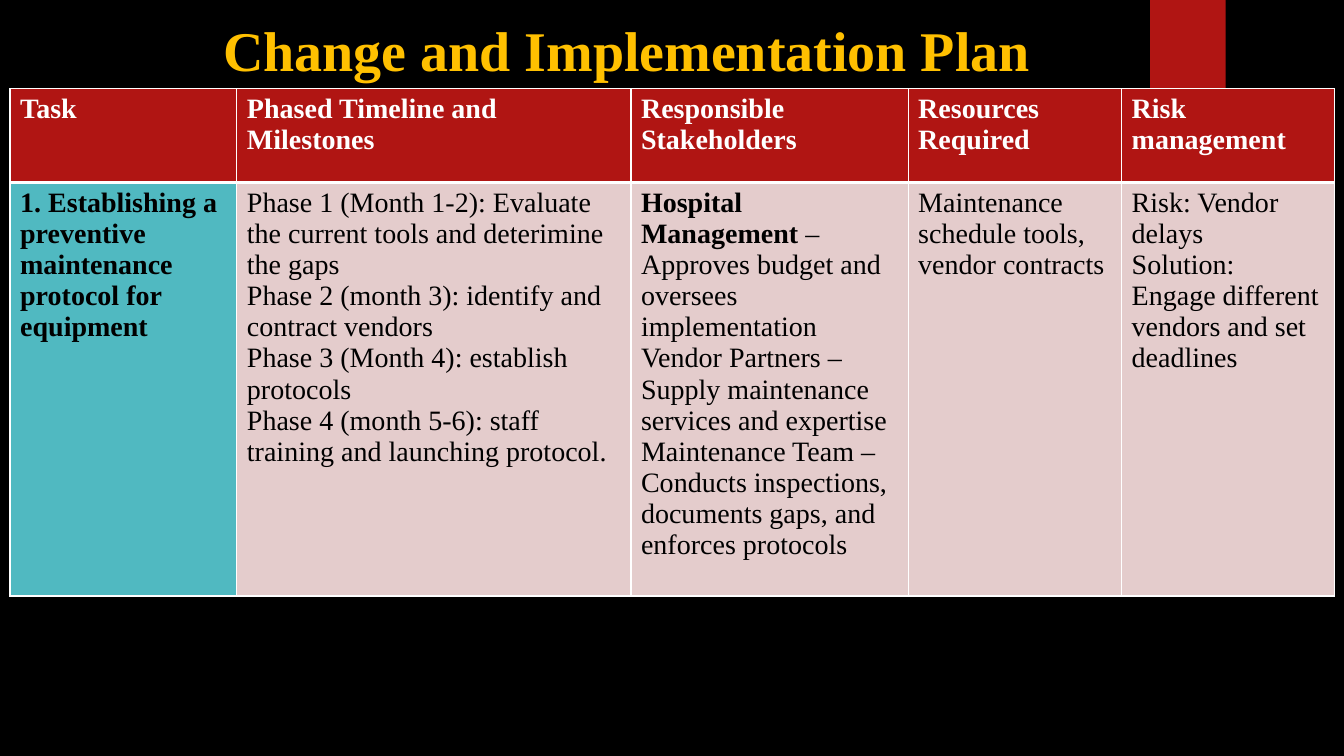
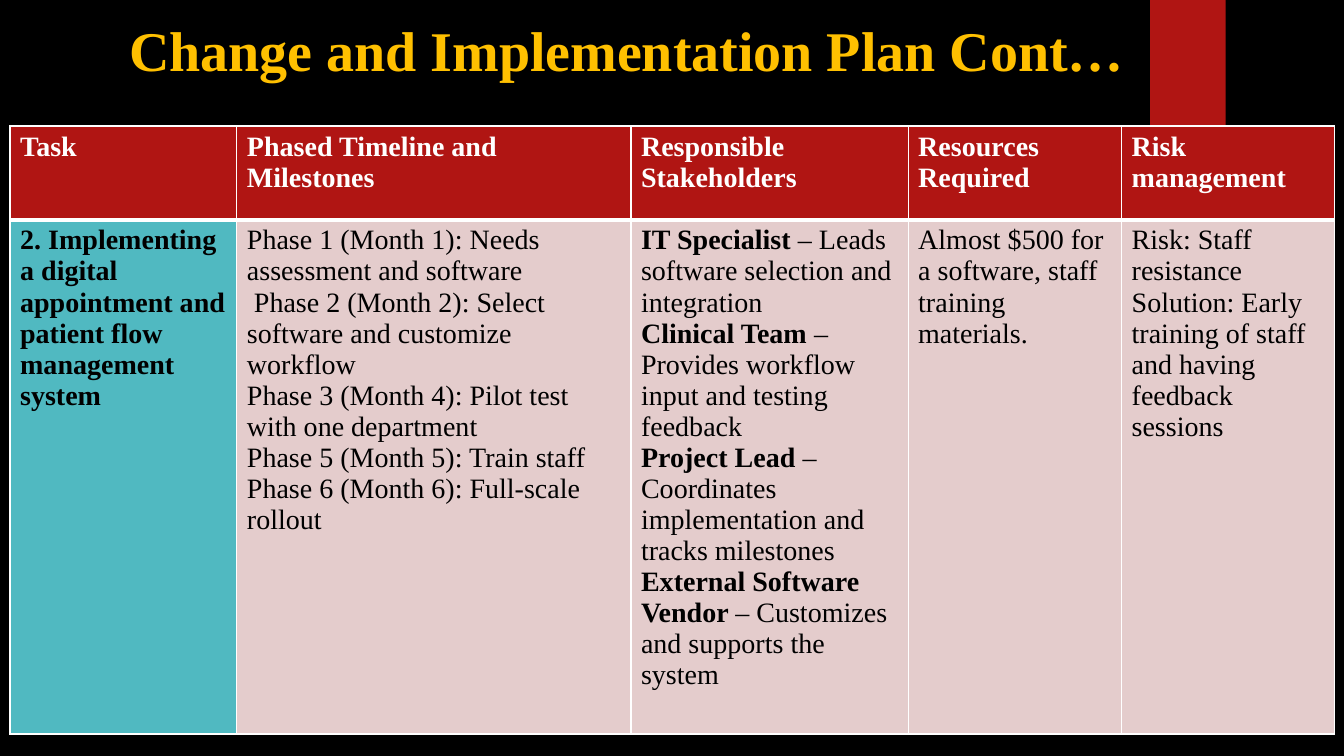
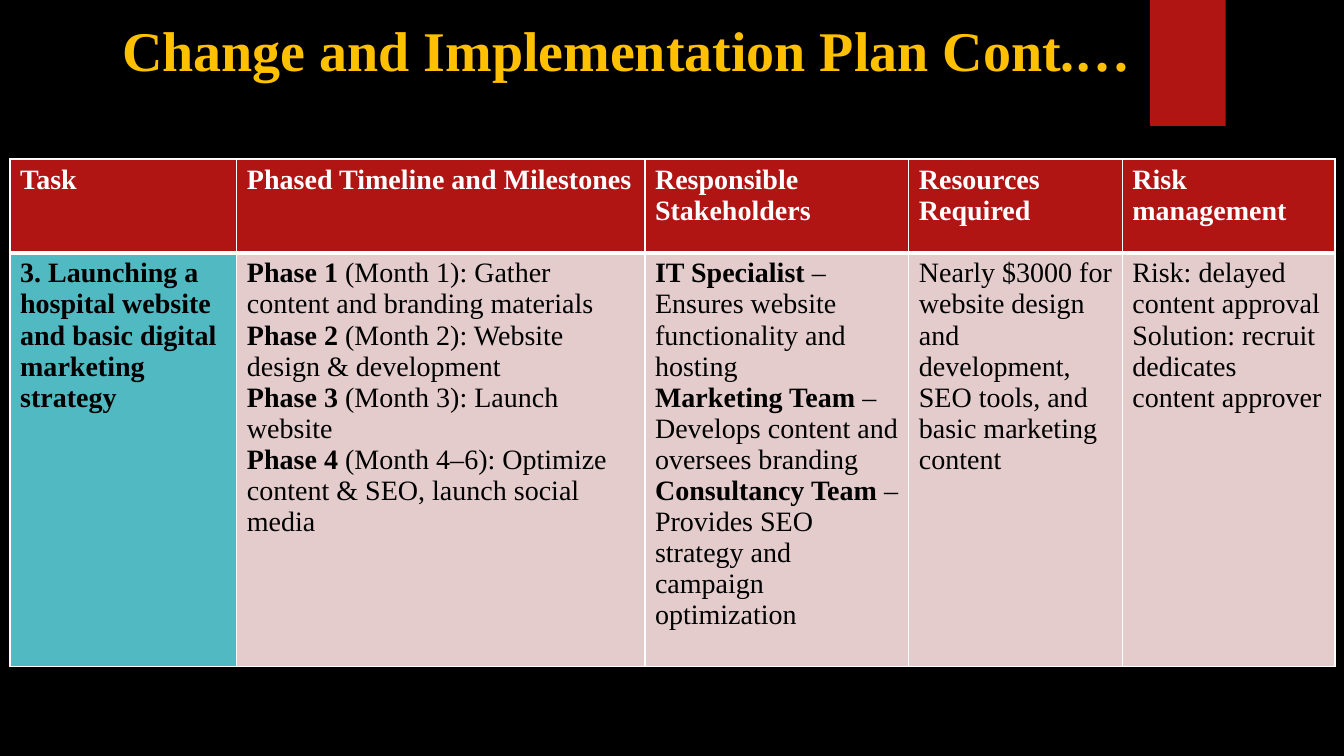
import pptx
import pptx.util
import pptx.dml.color
import pptx.enum.shapes
import pptx.enum.text
import pptx.oxml
import pptx.oxml.ns

Pt = pptx.util.Pt
RGB = pptx.dml.color.RGBColor

BLACK = RGB(0x00, 0x00, 0x00)
WHITE = RGB(0xFF, 0xFF, 0xFF)
GOLD = RGB(0xFF, 0xC0, 0x00)
RED = RGB(0xB0, 0x15, 0x13)
TEAL = RGB(0x50, 0xB9, 0xC1)
PINK = RGB(0xE4, 0xCC, 0xCC)
FONT = "Times New Roman"

# Boxes are left, top, width, height
BAND = (821.5, 0, 54, 90)
TITLE = (77, 3, 741, 86)
LEFT = 7.2
HEAD_H = 67
LINE_H = 22.25
PAD_H = 7.2

HEADS = ["Task", "Phased Timeline and Milestones", "Responsible Stakeholders",
         "Resources Required", "Risk management"]
EVEN = [162, 281.5, 198, 152.5, 152]
WIDE = [162, 291.5, 188.5, 152.5, 152]

# In each paragraph, the part before "|" is bold
PLANS = [
    {"title": "Change and Implementation Plan",
     "top": 63.4, "cols": EVEN, "lines": 12,
     "body": [
         ["1. Establishing a preventive maintenance protocol for equipment|"],
         ["Phase 1 (Month 1-2): Evaluate the current tools and deterimine the gaps",
          "Phase 2 (month 3): identify and contract vendors",
          "Phase 3 (Month 4): establish protocols",
          "Phase 4 (month 5-6): staff training and launching protocol."],
         ["Hospital Management |– Approves budget and oversees implementation",
          "Vendor Partners – Supply maintenance services and expertise",
          "Maintenance Team – Conducts inspections, documents gaps, "
          "and enforces protocols"],
         ["Maintenance schedule tools, vendor contracts"],
         ["Risk: Vendor delays",
          "Solution: Engage different vendors and set deadlines"]]},
    {"title": "Change and Implementation Plan Cont…",
     "top": 90, "cols": EVEN, "lines": 15,
     "body": [
         ["2. Implementing a digital appointment and patient flow management system|"],
         ["Phase 1 (Month 1): Needs assessment and software",
          " Phase 2 (Month 2): Select software and customize workflow",
          "Phase 3 (Month 4): Pilot test with one department",
          "Phase 5 (Month 5): Train staff",
          "Phase 6 (Month 6): Full-scale rollout"],
         ["IT Specialist |– Leads software selection and integration",
          "Clinical Team |– Provides workflow input and testing feedback",
          "Project Lead |– Coordinates implementation and tracks milestones",
          "External Software Vendor |– Customizes and supports the system"],
         ["Almost $500 for a software, staff training materials."],
         ["Risk: Staff resistance",
          "Solution: Early training of staff and having feedback sessions"]]},
    {"title": "Change and Implementation Plan Cont.…",
     "top": 113.6, "cols": WIDE, "lines": 12,
     "body": [
         ["3. Launching a hospital website and basic digital marketing strategy|"],
         ["Phase 1| (Month 1): Gather content and branding materials",
          "Phase 2| (Month 2): Website design & development",
          "Phase 3| (Month 3): Launch website",
          "Phase 4| (Month 4–6): Optimize content & SEO, launch social media"],
         ["IT Specialist |– Ensures website functionality and hosting",
          "Marketing Team |– Develops content and oversees branding",
          "Consultancy Team |– Provides SEO strategy and campaign optimization"],
         ["Nearly $3000 for website design and development, SEO tools, "
          "and basic marketing content"],
         ["Risk: delayed content approval",
          "Solution: recruit dedicates content approver"]]},
]


def add_run(para, text, size, color, bold):
    run = para.add_run()
    run.text = text
    font = run.font
    font.name, font.size, font.bold = FONT, Pt(size), bold
    font.color.rgb = color


def add_band(slide, box):
    band = slide.shapes.add_shape(
        pptx.enum.shapes.MSO_SHAPE.RECTANGLE, *map(Pt, box))
    band.shadow.inherit = False
    band.fill.solid()
    band.fill.fore_color.rgb = RED
    band.line.fill.background()


def add_title(slide, box, text):
    frame = slide.shapes.add_textbox(*map(Pt, box)).text_frame
    frame.word_wrap = True
    frame.margin_top = Pt(8)
    para = frame.paragraphs[0]
    para.alignment = pptx.enum.text.PP_ALIGN.CENTER
    add_run(para, text, 40, GOLD, True)


def set_edges(cell, top, base):
    props = cell._tc.get_or_add_tcPr()
    for side, width in (("L", 1), ("R", 1), ("T", top), ("B", base)):
        props.append(pptx.oxml.parse_xml(
            f'<a:ln{side} {pptx.oxml.ns.nsdecls("a")} w="{Pt(width)}">'
            f'<a:solidFill><a:srgbClr val="{WHITE}"/></a:solidFill></a:ln{side}>'))


def fill_cell(cell, paras, fill, color, top, base):
    set_edges(cell, top, base)
    cell.fill.solid()
    cell.fill.fore_color.rgb = fill
    frame = cell.text_frame
    for num, text in enumerate(paras):
        para = frame.add_paragraph() if num else frame.paragraphs[0]
        lead, bar, rest = text.rpartition("|")
        for part, bold in ((lead, True), (rest, False)):
            if part:
                add_run(para, part, 20, color, bold)


def add_plan(slide, left, top, cols, lines, body):
    rows = [HEAD_H, lines * LINE_H + PAD_H]
    table = slide.shapes.add_table(
        2, len(cols), Pt(left), Pt(top), Pt(sum(cols)), Pt(sum(rows))).table
    table.horz_banding = False
    for row, height in zip(table.rows, rows):
        row.height = Pt(height)
    for num, width in enumerate(cols):
        table.columns[num].width = Pt(width)
        fill_cell(table.cell(0, num), [HEADS[num] + "|"], RED, WHITE, 1, 3)
        fill_cell(table.cell(1, num), body[num],
                  PINK if num else TEAL, BLACK, 3, 1)


def main():
    deck = pptx.Presentation()
    deck.slide_width, deck.slide_height = Pt(960), Pt(540)
    # Shared black background
    back = deck.slide_master.background.fill
    back.solid()
    back.fore_color.rgb = BLACK
    for plan in PLANS:
        slide = deck.slides.add_slide(deck.slide_layouts[6])
        add_band(slide, BAND)
        add_title(slide, TITLE, plan["title"])
        add_plan(slide, LEFT, plan["top"], plan["cols"],
                 plan["lines"], plan["body"])
    deck.save("out.pptx")


if __name__ == "__main__":
    main()
